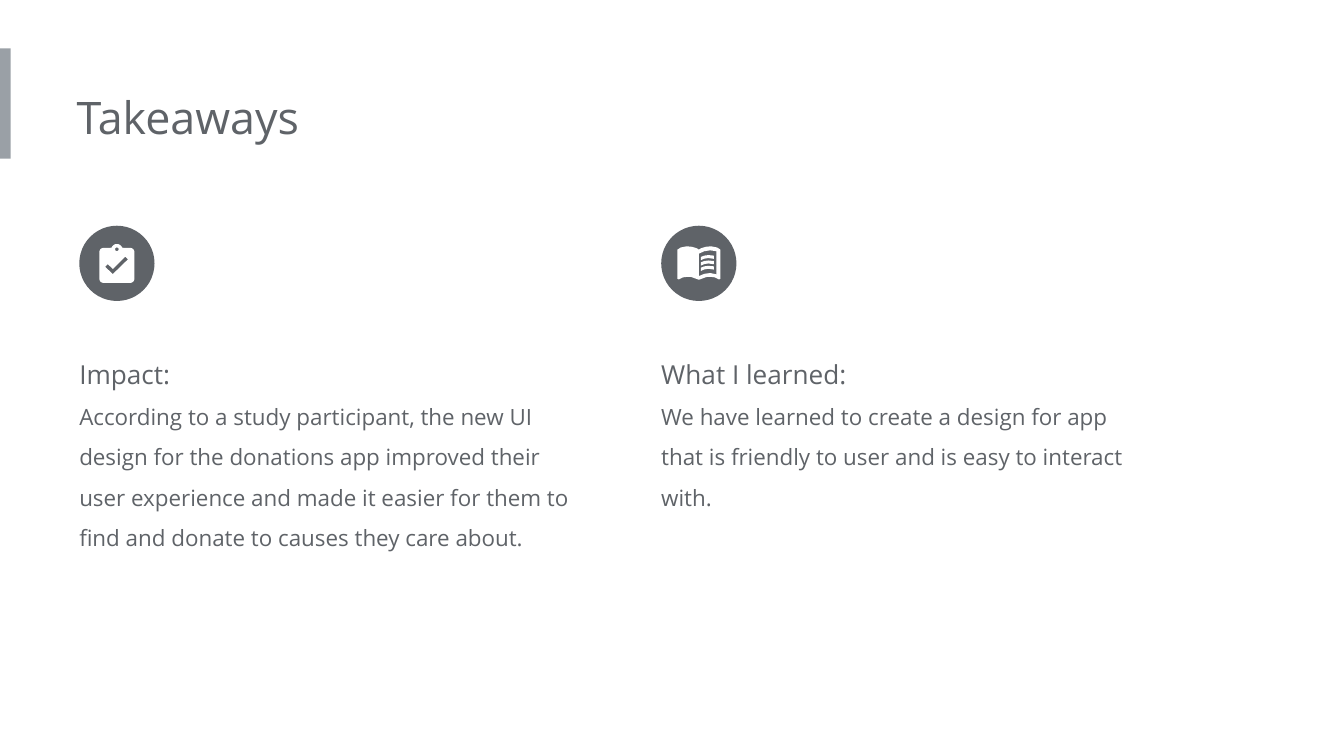
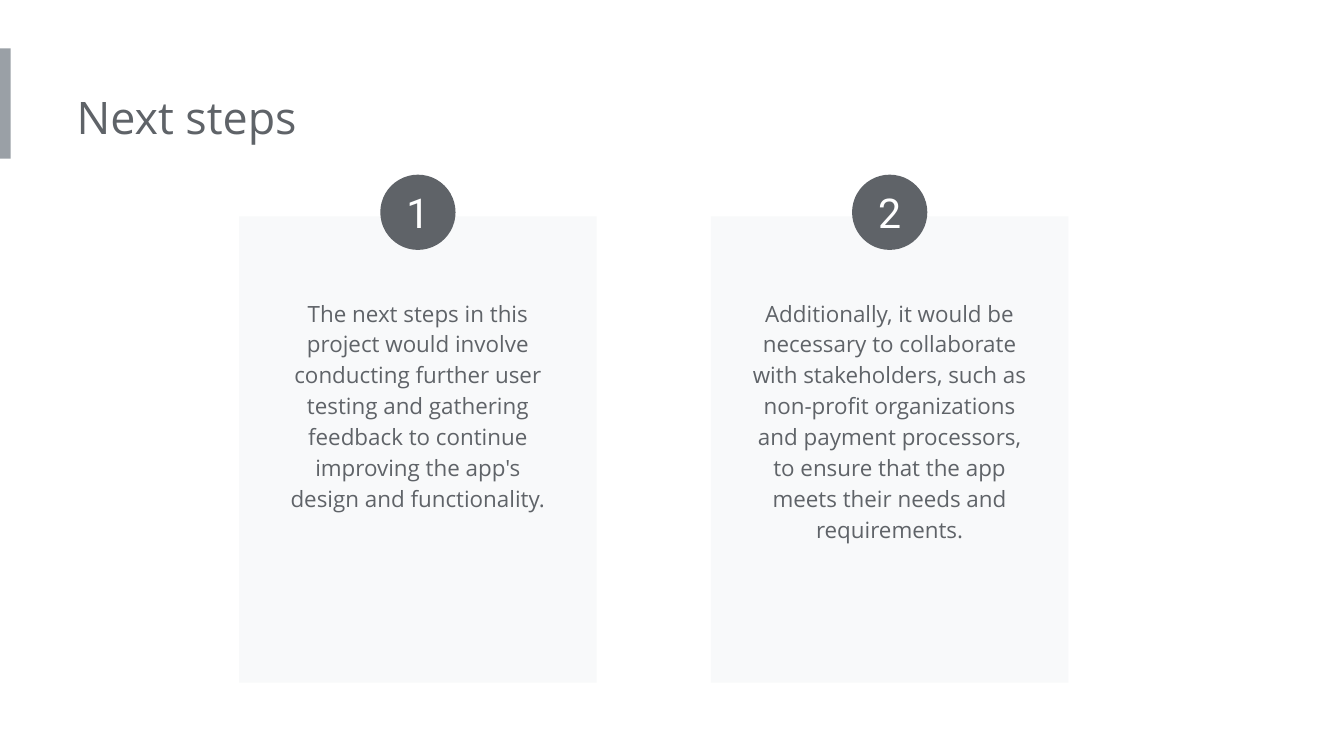
from dataclasses import dataclass
from math import cos, radians, sin
from typing import NamedTuple

from pptx import Presentation
from pptx.dml.color import RGBColor
from pptx.enum.shapes import MSO_SHAPE
from pptx.enum.text import MSO_ANCHOR, MSO_AUTO_SIZE, PP_ALIGN
from pptx.util import Emu, Inches, Pt

WIDTH, HEIGHT = Inches(10), Inches(5.625)
CELL = WIDTH / 100  # every length below counts square cells, 100 to the slide's width


@dataclass(frozen=True)
class Theme:
    ink: RGBColor = RGBColor.from_string("5F6368")
    accent: RGBColor = RGBColor.from_string("9AA0A6")
    card: RGBColor = RGBColor.from_string("F8F9FA")
    white: RGBColor = RGBColor.from_string("FFFFFF")
    font: str = "Open Sans"
    badge_font: str = "Roboto"
    title_size: int = 24
    badge_size: int = 22
    heading_size: int = 14
    body_size: int = 12


THEME = Theme()


class Box(NamedTuple):
    left: float
    top: float
    width: float
    height: float

    def emu(self) -> list[Emu]:
        return [Emu(round(cells * CELL)) for cells in self]


class Line(NamedTuple):
    """One paragraph and its look."""
    text: str
    size: int = THEME.body_size
    spacing: float = 1.0
    align: PP_ALIGN = PP_ALIGN.LEFT
    color: RGBColor = THEME.ink
    font: str = THEME.font


class Point(NamedTuple):
    x: float
    y: float


Contour = list[Point]
Outline = list[Contour]  # contours after the first cut holes


class Takeaway(NamedTuple):
    icon: list[Outline]
    heading: str
    body: str
    text_height: float


class Step(NamedTuple):
    body: str
    text_height: float


def apply(target, **values) -> None:
    for name, value in values.items():
        setattr(target, name, value)


def write(shape, lines: list[Line], insets: tuple = (0, 1, 1, 1),
          anchor=MSO_ANCHOR.TOP, fit=MSO_AUTO_SIZE.SHAPE_TO_FIT_TEXT) -> None:
    frame = shape.text_frame
    left, top, right, bottom = (Emu(round(inset * CELL)) for inset in insets)
    apply(frame, word_wrap=True, auto_size=fit, vertical_anchor=anchor,
          margin_left=left, margin_top=top, margin_right=right, margin_bottom=bottom)
    for index, line in enumerate(lines):
        para = frame.add_paragraph() if index else frame.paragraphs[0]
        apply(para, alignment=line.align, line_spacing=line.spacing)
        span = para.add_run()
        span.text = line.text
        apply(span.font, size=Pt(line.size), name=line.font)
        span.font.color.rgb = line.color


def paint(shape, color: RGBColor):
    shape.shadow.inherit = False
    shape.fill.solid()
    shape.fill.fore_color.rgb = color
    shape.line.fill.background()
    return shape


def add_filled(page, kind: MSO_SHAPE, box: Box, color: RGBColor):
    return paint(page.shapes.add_shape(kind, *box.emu()), color)


def add_text(page, box: Box, lines: list[Line], insets: tuple = (0, 1, 1, 1)) -> None:
    write(page.shapes.add_textbox(*box.emu()), lines, insets)


def add_disc(page, center: Point, radius: float = 2.8):
    box = Box(center.x - radius, center.y - radius, 2 * radius, 2 * radius)
    return add_filled(page, MSO_SHAPE.OVAL, box, THEME.ink)


def arc(x: float, y: float, radius: float, start: int, end: int) -> Contour:
    """Points on a circle, in degrees clockwise from the right."""
    turns = [radians(start + (end - start) * step / 8) for step in range(9)]
    return [Point(x + radius * cos(turn), y + radius * sin(turn)) for turn in turns]


def points(*pairs: tuple[float, float]) -> Contour:
    return [Point(*pair) for pair in pairs]


def mirrored(half: Contour) -> Contour:
    """Closes a left half against its mirror image about x = 0."""
    return half + [Point(-x, y) for x, y in reversed(half)]


def clipboard_icon() -> list[Outline]:
    left_half = (arc(-1, -0.85, 0.3, 180, 270)[::-1] + arc(0, -1.02, 0.42, 200, 270))
    board = mirrored(arc(-1, 1.15, 0.3, 90, 180) + left_half[::-1][-9:]
                     + arc(0, -1.02, 0.42, 200, 270))
    check = points((-0.3, 0.8), (-0.88, 0.25), (-0.68, 0.05),
                   (-0.3, 0.42), (0.63, -0.5), (0.83, -0.3))
    return [[board, arc(0, -1.05, 0.14, 0, 360), check]]


def book_icon() -> list[Outline]:
    cover = mirrored(points(
        (0, 1.22), (-0.2, 1.15), (-0.55, 1.02), (-0.85, 1), (-1.2, 1.05), (-1.5, 1.2),
        (-1.6, 1.15), (-1.6, -1.02), (-1.35, -1.18), (-0.9, -1.27), (-0.5, -1.23),
        (-0.15, -1.12), (0, -1.02)))
    page_hole = points((0, -0.72), (0.4, -0.9), (0.85, -0.97), (1.3, -0.9),
                       (1.3, 0.82), (0.85, 0.72), (0.4, 0.78), (0, 0.95))
    text_line = points((0.14, -0.48), (0.4, -0.58), (0.7, -0.62), (1.12, -0.58),
                       (1.12, -0.34), (0.7, -0.4), (0.4, -0.35), (0.14, -0.24))
    return [[cover, page_hole]] + [
        [[Point(x, y + 0.4 * row) for x, y in text_line]] for row in range(3)]


def draw_icon(page, icon: list[Outline], center: Point) -> None:
    shapes = page.shapes.add_group_shape().shapes if len(icon) > 1 else page.shapes
    for outline in icon:
        contours = [[(x * 1000, y * 1000) for x, y in contour] for contour in outline]
        builder = shapes.build_freeform(*contours[0][0], scale=CELL / 1000)
        for index, contour in enumerate(contours):
            if index:
                builder.move_to(*contour[0])
            builder.add_line_segments(contour[1:], close=True)
        origin = (Emu(round(value * CELL)) for value in center)
        paint(builder.convert_to_shape(*origin), THEME.white)


def add_page(deck, layout, title: str):
    page = deck.slides.add_slide(layout)
    holder = page.shapes.title
    left, top, width, height = Box(5.7, 5.7, 53.9, 6.1).emu()
    apply(holder, left=left, top=top, width=width, height=height)
    write(holder, [Line(title, THEME.title_size)])
    return page


def add_accent_bar(page, layout) -> None:
    """Draws the edge bar and hands it to the layout, so that all slides share it."""
    bar = add_filled(page, MSO_SHAPE.RECTANGLE, Box(0, 3.6, 0.8, 8.2), THEME.accent)
    layout.shapes._spTree.append(bar._element)


def draw_takeaways(page, takeaways: list[Takeaway]) -> None:
    for column, takeaway in enumerate(takeaways):
        left = 5.9 + 43.3 * column
        add_text(page, Box(left, 24.5, 37.7, takeaway.text_height),
                 [Line(takeaway.heading, THEME.heading_size, 1.5),
                  Line(takeaway.body, spacing=1.5)])
        center = Point(left + 2.8, 19.6)
        add_disc(page, center)
        draw_icon(page, takeaway.icon, center)


def draw_steps(page, steps: list[Step]) -> None:
    for column, step in enumerate(steps):
        card = Box(17.8 + 35.1 * column, 16.1, 26.6, 34.7)
        add_filled(page, MSO_SHAPE.RECTANGLE, card, THEME.card)
        add_text(page, Box(card.left + 2.1, 21, 22.4, step.text_height),
                 [Line(step.body, spacing=1.15, align=PP_ALIGN.CENTER)], (1, 1, 1, 1))
        badge = add_disc(page, Point(card.left + card.width / 2, 15.8))
        number = Line(str(column + 1), THEME.badge_size, align=PP_ALIGN.CENTER,
                      color=THEME.white, font=THEME.badge_font)
        write(badge, [number], (0, 0, 0, 0), MSO_ANCHOR.MIDDLE, MSO_AUTO_SIZE.NONE)


TAKEAWAYS = [
    Takeaway(clipboard_icon(), "Impact:",
             "According to a study participant, the new UI design for the donations app "
             "improved their user experience and made it easier for them to find and "
             "donate to causes they care about.", 17.7),
    Takeaway(book_icon(), "What I learned:",
             "We have learned to create a design for app that is friendly to user and "
             "is easy to interact with.", 14.6),
]

STEPS = [
    Step("The next steps in this project would involve conducting further user testing "
         "and gathering feedback to continue improving the app's design and "
         "functionality.", 18.3),
    Step("Additionally, it would be necessary to collaborate with stakeholders, such as "
         "non-profit organizations and payment processors, to ensure that the app meets "
         "their needs and requirements.", 22.9),
]


def main() -> None:
    deck = Presentation()
    apply(deck, slide_width=WIDTH, slide_height=HEIGHT)
    layout = deck.slide_layouts.get_by_name("Title Only")
    takeaways_page = add_page(deck, layout, "Takeaways")
    add_accent_bar(takeaways_page, layout)
    draw_takeaways(takeaways_page, TAKEAWAYS)
    draw_steps(add_page(deck, layout, "Next steps"), STEPS)
    deck.save("out.pptx")


if __name__ == "__main__":
    main()
